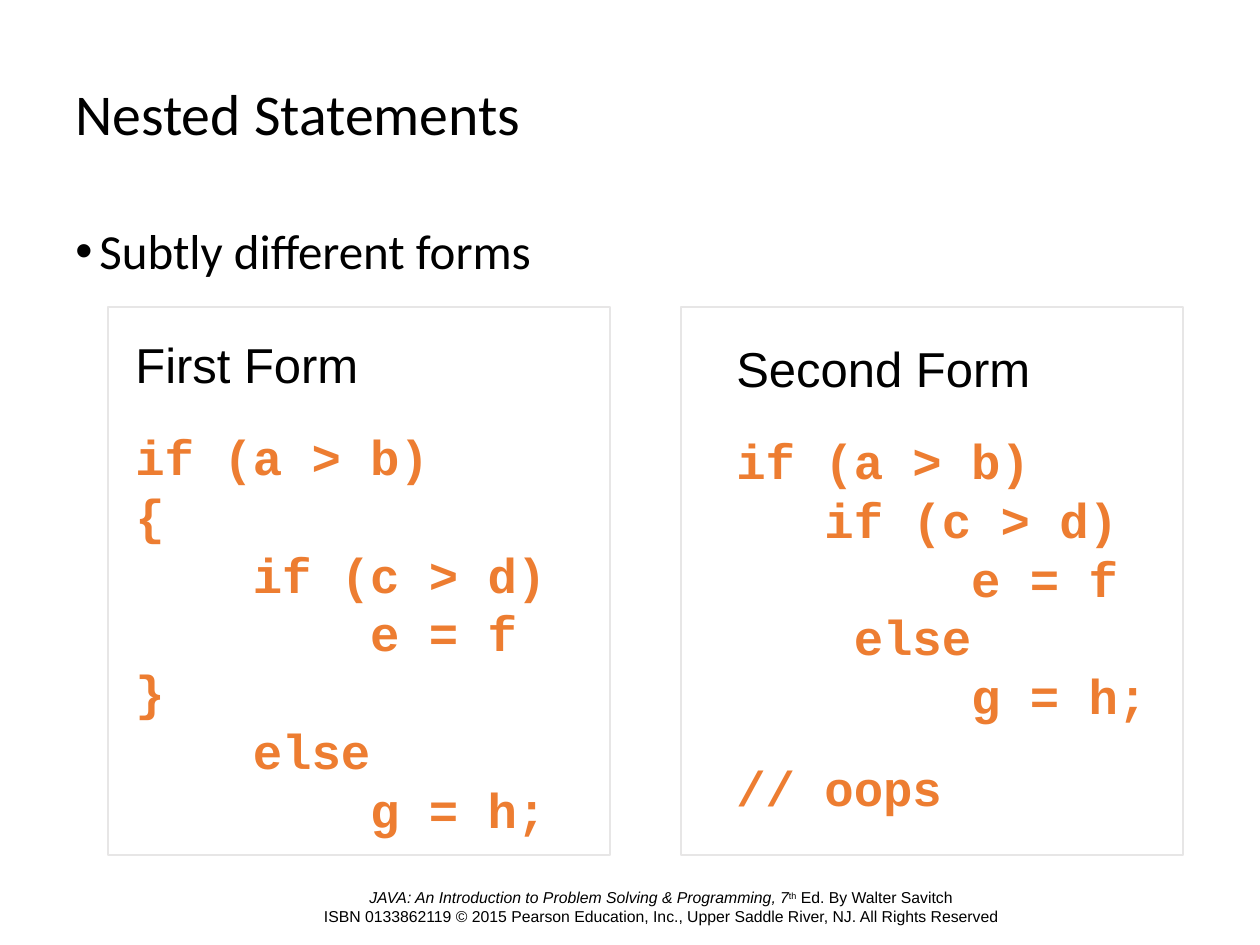
from lxml.etree import SubElement
from pptx import Presentation
from pptx.dml.color import RGBColor
from pptx.enum.shapes import MSO_SHAPE
from pptx.enum.text import MSO_ANCHOR, PP_ALIGN
from pptx.oxml.ns import qn
from pptx.util import Pt

BLACK = RGBColor(0x00, 0x00, 0x00)
ORANGE = RGBColor(0xED, 0x7D, 0x31)
GRAY = RGBColor(0xE7, 0xE6, 0xE6)
SCALE = 914400 / 126

TITLE = dict(name="Calibri", size=Pt(33))
BODY = dict(name="Calibri", size=Pt(28))
HEAD = dict(name="Arial", size=Pt(28))
CODE = dict(name="Courier New", size=Pt(28), bold=True, color=ORANGE)
NOTE = dict(name="Arial", size=Pt(9))

FIRST = """if (a > b)
{
    if (c > d)
        e = f
}
    else
        g = h;"""
SECOND = """if (a > b)
   if (c > d)
        e = f
    else
        g = h;"""


def emu(px):
    return round(px * SCALE)


class Deck:
    """Holds the slide and draws each kind of element on it."""

    def __init__(self):
        self.prs = Presentation()
        self.prs.slide_width, self.prs.slide_height = emu(1260), emu(945)
        self.slide = self.prs.slides.add_slide(self.prs.slide_layouts[6])

    def box(self, *at):
        frame = self.slide.shapes.add_textbox(*map(emu, at)).text_frame
        frame.word_wrap = True
        return frame

    def put(self, para, text, style):
        for row, line in enumerate(text.split("\n")):
            if row:
                para.add_line_break()
            run = para.add_run()
            run.text = line
            run.font.color.rgb = BLACK
            for key, value in style.items():
                if key == "color":
                    run.font.color.rgb = value
                else:
                    setattr(run.font, key, value)
        return run

    def tune(self, para, **values):
        for key, value in values.items():
            setattr(para, key, value)

    def title(self, text, *at):
        frame = self.box(*at)
        frame.vertical_anchor = MSO_ANCHOR.MIDDLE
        para = frame.paragraphs[0]
        self.tune(para, line_spacing=0.9)
        self.put(para, text, TITLE)

    def bullet(self, text, *at):
        para = self.box(*at).paragraphs[0]
        self.tune(para, line_spacing=0.9)
        props = para._p.get_or_add_pPr()
        props.set("marL", str(emu(24)))
        props.set("indent", str(emu(-24)))
        SubElement(props, qn("a:buFont"), typeface="Arial")
        SubElement(props, qn("a:buChar"), char="•")
        self.put(para, text, BODY)

    def panel(self, *at):
        rect = self.slide.shapes.add_shape(MSO_SHAPE.RECTANGLE, *map(emu, at))
        rect.shadow.inherit = False
        rect.fill.background()
        rect.line.color.rgb = GRAY
        rect.line.width = Pt(1)

    def code(self, head, blocks, *at):
        frame = self.box(*at)
        para = frame.paragraphs[0]
        self.tune(para, line_spacing=Pt(35))
        self.put(para, head, HEAD)
        for block in blocks:
            para = frame.add_paragraph()
            self.tune(para, line_spacing=Pt(33.6), space_before=Pt(19))
            self.put(para, block, CODE)

    def footer(self, *at):
        para = self.box(*at).paragraphs[0]
        self.tune(para, alignment=PP_ALIGN.CENTER, line_spacing=Pt(10.8))
        book = "JAVA: An Introduction to Problem Solving & Programming, 7"
        self.put(para, book, NOTE | dict(italic=True))
        power = self.put(para, "th", NOTE)
        power._r.get_or_add_rPr().set("baseline", "30000")
        self.put(para, " Ed. By Walter Savitch\nISBN 0133862119 © 2015 Pearson Education, Inc., "
                 "Upper Saddle River, NJ. All Rights Reserved", NOTE)


def main():
    deck = Deck()
    deck.footer(94, 882, 1134, 79)
    deck.title("Nested Statements", 63, 64, 1134, 105)
    deck.bullet("Subtly different forms", 63, 221, 1005, 142)
    deck.code("First Form", [FIRST], 123, 326, 470, 514)
    deck.code("Second Form", [SECOND, "// oops"], 724, 330, 470, 486)
    for left in (108, 681):
        deck.panel(left, 307, 502, 548)
    deck.prs.save("out.pptx")


if __name__ == "__main__":
    main()
